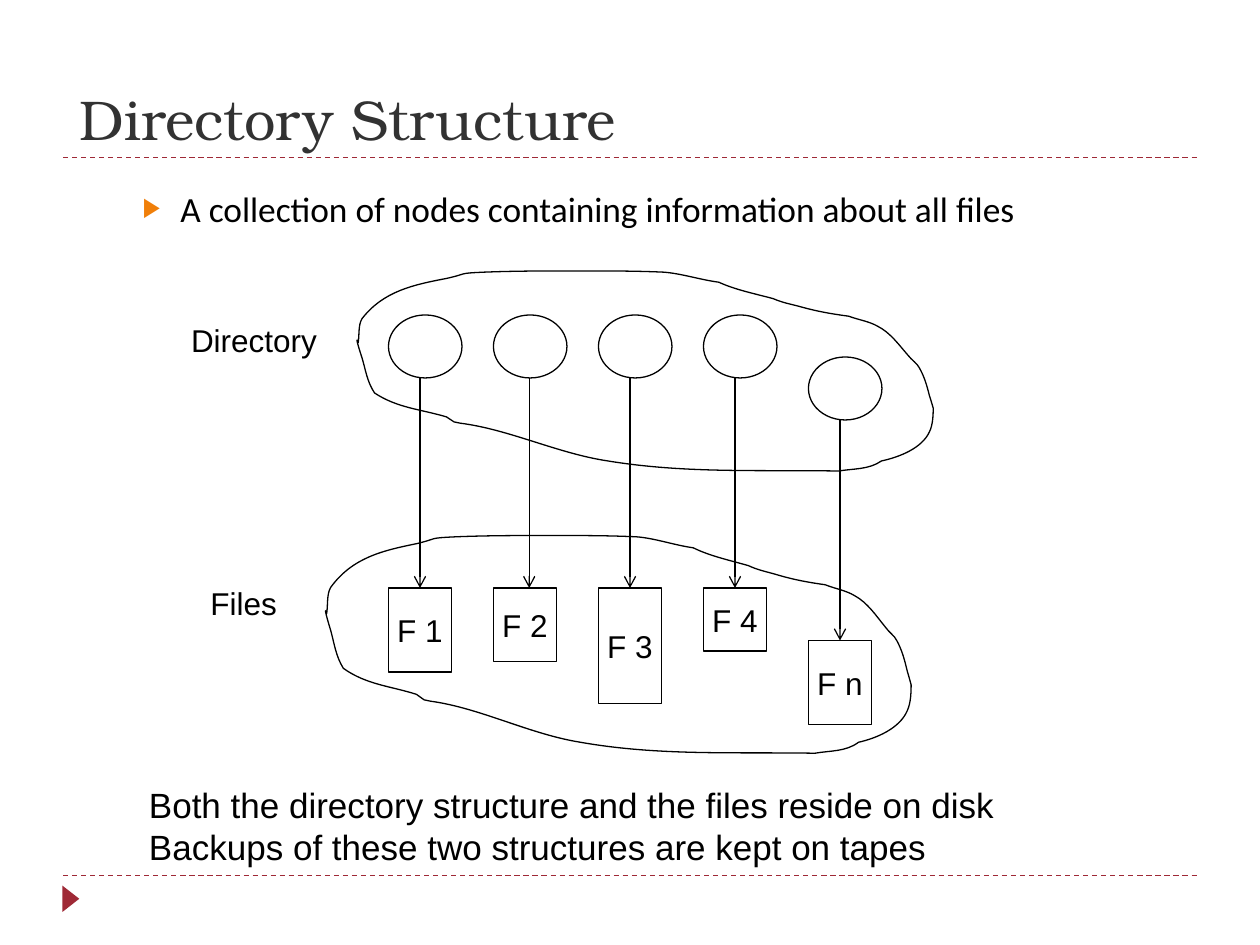
from lxml import etree
from pptx import Presentation, util as u
from pptx.dml.color import RGBColor
from pptx.enum import dml, shapes, text
from pptx.oxml.ns import qn

PX = 7620  # 120 px to the inch
INK = {"black": "000000", "white": "FFFFFF", "title": "323232",
       "red": "9F2936", "orange": "F07F09"}
LEFT, MID = text.PP_ALIGN.LEFT, text.PP_ALIGN.CENTER
TOP, CENTRE, BOTTOM = (text.MSO_ANCHOR.TOP, text.MSO_ANCHOR.MIDDLE,
                       text.MSO_ANCHOR.BOTTOM)

# Circle top, file name, file top, file height, arrow x
NODES = [(300, "F 1", 560, 80, 400), (300, "F 2", 560, 70, 504),
         (300, "F 3", 560, 110, 600), (300, "F 4", 560, 60, 700),
         (340, "F n", 610, 80, 800)]

# Cloud outline on its own grid: a start, then cubic curves
GRID = (458, 161)
START = (1, 57)
CURVES = [
    (2, 50, 1, 43, 4, 38), (21, 16, 45, 11, 71, 6),
    (89, 2, 79, 2, 101, 1), (126, 0, 151, 0, 177, 0),
    (199, 0, 221, 0, 243, 1), (257, 2, 272, 7, 287, 9),
    (300, 15, 315, 18, 330, 22), (337, 25, 342, 26, 350, 28),
    (364, 32, 375, 34, 390, 36), (398, 39, 406, 40, 413, 44),
    (423, 49, 430, 59, 437, 67), (440, 71, 444, 73, 446, 77),
    (450, 84, 452, 91, 454, 99), (455, 102, 457, 109, 457, 109),
    (457, 113, 457, 122, 454, 128), (448, 141, 430, 148, 416, 151),
    (406, 158, 394, 157, 382, 159), (318, 158, 260, 161, 199, 151),
    (159, 145, 121, 126, 82, 121), (80, 121, 79, 120, 77, 120),
    (75, 119, 73, 117, 71, 116), (51, 110, 32, 109, 14, 97),
    (8, 88, 7, 79, 4, 69), (4, 69, 0, 57, 0, 55),
    (0, 54, 1, 56, 1, 57),
]


def px(*nums):
    return [u.Emu(round(n * PX)) for n in nums]


def rgb(name):
    return RGBColor.from_string(INK[name])


def stroke(item, ink="black"):
    item.line.color.rgb = rgb(ink)
    item.line.width = u.Pt(0.75)


def write(shape, words, size, font="Arial", ink="black", align=LEFT,
          anchor=TOP, wrap=True):
    frame = shape.text_frame
    frame.text = words
    frame.word_wrap = wrap
    frame.vertical_anchor = anchor
    for para in frame.paragraphs:
        para.alignment = align
        for run in para.runs:
            run.font.size = u.Pt(size)
            run.font.name = font
            run.font.color.rgb = rgb(ink)
    return frame


def label(slide, box, words, size, **style):
    return write(slide.shapes.add_textbox(*px(*box)), words, size, **style)


def form(slide, kind, box, fill="white", edge="black"):
    shape = slide.shapes.add_shape(kind, *px(*box))
    shape.shadow.inherit = False
    shape.fill.solid()
    shape.fill.fore_color.rgb = rgb(fill)
    stroke(shape, edge)
    return shape


def link(slide, ends, ink="black"):
    wire = slide.shapes.add_connector(shapes.MSO_CONNECTOR.STRAIGHT, *px(*ends))
    stroke(wire, ink)
    etree.SubElement(wire._element.spPr, qn("a:effectLst"))
    return wire


def rule(slide, y):
    link(slide, (60, y, 1140, y), "red").line.dash_style = dml.MSO_LINE.DASH


def arrow(slide, x, top, box):
    """Point down at a file, joined where x is the middle of its top side."""
    wire = link(slide, (x, top, x, box.top / PX))
    etree.SubElement(wire.line._get_or_add_ln(), qn("a:tailEnd"), type="arrow")
    if px(x)[0] == box.left + box.width // 2:
        wire.end_connect(box, 0)


def bend(shape):
    """Turn each three line segments of an outline into one cubic curve."""
    lines = list(shape._element.iter(qn("a:lnTo")))
    for a, b, c in zip(lines[::3], lines[1::3], lines[2::3]):
        curve = etree.Element(qn("a:cubicBezTo"))
        a.addprevious(curve)
        for line in (a, b, c):
            curve.append(line[0])
            line.getparent().remove(line)


def cloud(slide, left, top, wide, high):
    def place(x, y):
        return px(left + x * wide / GRID[0], top + y * high / GRID[1])

    spots = [place(*curve[n:n + 2]) for curve in CURVES for n in (0, 2, 4)]
    pen = slide.shapes.build_freeform(*place(*START))
    # The last curve ends at the start, so closing adds no further line
    pen.add_line_segments(spots, close=True)
    shape = pen.convert_to_shape()
    bend(shape)
    shape.shadow.inherit = False
    shape.fill.background()
    stroke(shape)


def bullet(para):
    props = para._p.get_or_add_pPr()
    props.set("marL", str(36 * PX))
    props.set("indent", str(-36 * PX))
    tint = etree.SubElement(props, qn("a:buClr"))
    etree.SubElement(tint, qn("a:srgbClr"), val=INK["orange"])
    etree.SubElement(props, qn("a:buSzPct"), val="76000")
    etree.SubElement(props, qn("a:buFont"), typeface="Arial")
    etree.SubElement(props, qn("a:buChar"), char="▶")
    para.line_spacing = 0.7


def graph(slide):
    kinds = shapes.MSO_SHAPE
    for n, (top, *_) in enumerate(NODES):
        form(slide, kinds.OVAL, (370 + 100 * n, top, 70, 60))
    files = []
    for n, (_, name, top, high, _) in enumerate(NODES):
        box = form(slide, kinds.RECTANGLE, (370 + 100 * n, top, 60, high))
        write(box, name, 18, align=MID, anchor=CENTRE, wrap=False)
        files.append(box)
    for (top, *_, x), box in zip(NODES, files):
        arrow(slide, x, top + 60, box)
    cloud(slide, 340, 258, 550, 193)
    cloud(slide, 310, 510, 559, 210)
    for box, words in (((170, 300, 144, 48), "Directory"),
                       ((188, 550, 88, 48), "Files")):
        label(slide, box, words, 18, align=MID, anchor=CENTRE, wrap=False)


def main():
    deck = Presentation()
    deck.slide_width, deck.slide_height = px(1200, 900)
    slide = deck.slides.add_slide(deck.slide_layouts[6])
    rule(slide, 834)
    rule(slide, 150)
    mark = form(slide, shapes.MSO_SHAPE.ISOSCELES_TRIANGLE,
                (55, 848, 25, 16), "red", "red")
    mark.rotation = 90
    mark.line.fill.background()
    label(slide, (64, 0, 980, 150), "Directory Structure", 32,
          font="TeX Gyre Bonum", ink="title", anchor=BOTTOM)
    body = label(slide, (124, 183, 864, 46),
                 "A collection of nodes containing information about all files",
                 20.2, font="Calibri")
    bullet(body.paragraphs[0])
    graph(slide)
    label(slide, (130, 740, 923, 50),
          "Both the directory structure and the files reside on disk\n"
          "Backups of these two structures are kept on tapes", 20)
    deck.save("out.pptx")


if __name__ == "__main__":
    main()
